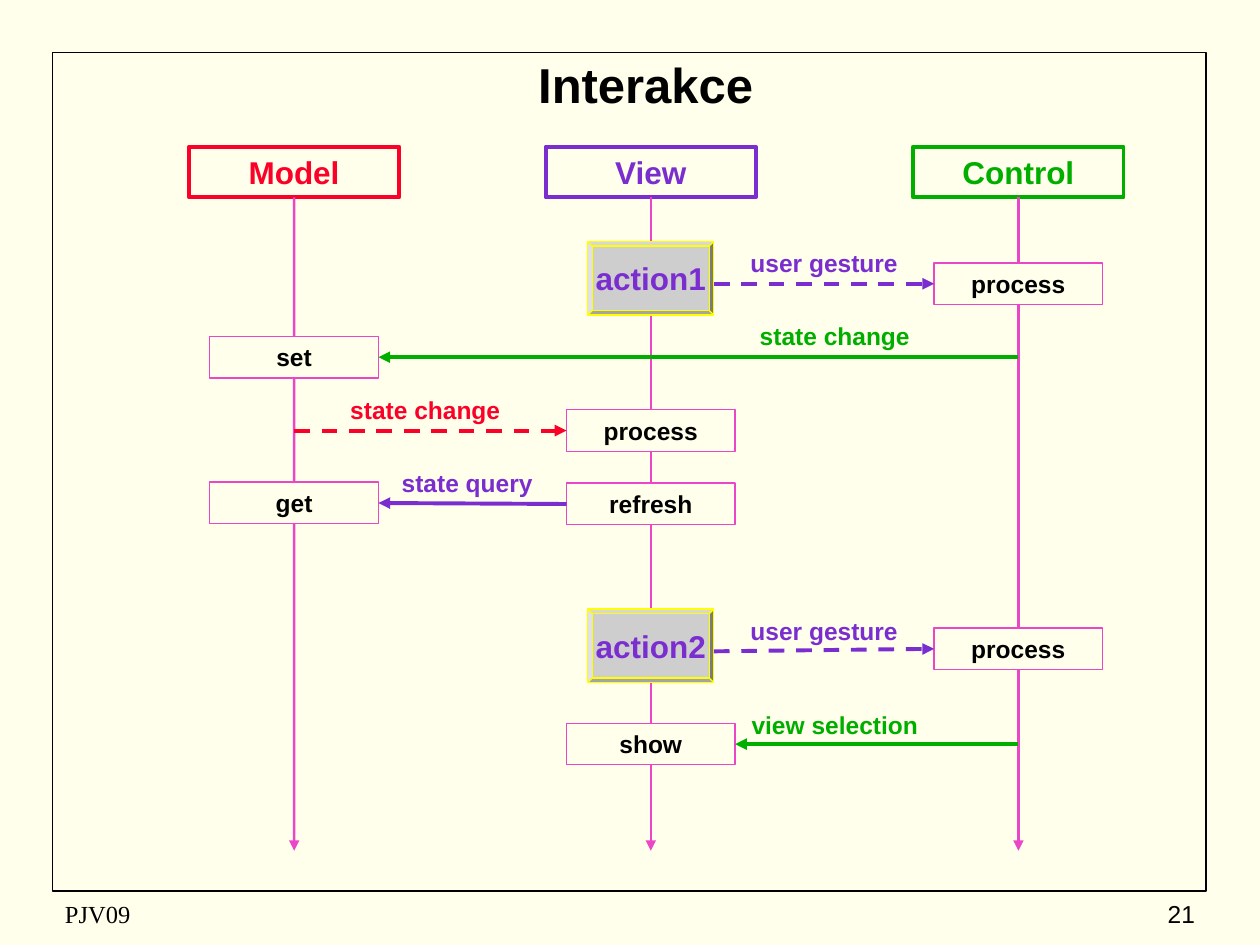
"""Builds the model, view and control interaction diagram on one slide."""
from pptx import Presentation
from pptx.dml.color import RGBColor
from pptx.enum.dml import MSO_LINE
from pptx.enum.shapes import MSO_CONNECTOR, MSO_SHAPE
from pptx.enum.text import MSO_ANCHOR, PP_ALIGN
from pptx.oxml.ns import qn
from pptx.util import Cm, Pt
from lxml.etree import SubElement

COLORS = {
    "paper": "FFFFEB", "ink": "000000", "model": "FC0128", "view": "7B2ED0",
    "control": "00AE00", "lifeline": "EC46C8", "button": "CECECE", "edge": "FFFF00",
}
COLUMNS = {"model": 5.93, "view": 13.12, "control": 20.53}
LEFT, BOTTOM, RIGHT = 1, 2, 3


def write(shape, text, size, color="ink", bold=True, align=PP_ALIGN.CENTER, font="Arial"):
    """Puts one formatted line of text in the middle of a shape."""
    frame = shape.text_frame
    frame.text = text
    frame.word_wrap = True
    frame.vertical_anchor = MSO_ANCHOR.MIDDLE
    para = frame.paragraphs[0]
    para.alignment = align
    span = para.runs[0]
    span.font.name = font
    span.font.size = Pt(size)
    span.font.bold = bold
    span.font.color.rgb = RGBColor.from_string(COLORS[color])


def draw_arrow(page, start, end, color, width, dashed=False):
    """Draws a straight arrow between two points in centimetres."""
    arrow = page.shapes.add_connector(MSO_CONNECTOR.STRAIGHT, *map(Cm, start + end))
    arrow.line.color.rgb = RGBColor.from_string(COLORS[color])
    arrow.line.width = Pt(width)
    if dashed:
        arrow.line.dash_style = MSO_LINE.DASH
    properties = arrow.element.spPr
    SubElement(properties.find(qn("a:ln")), qn("a:tailEnd"), type="triangle")
    SubElement(properties, qn("a:effectLst"))
    return arrow


deck = Presentation()
deck.slide_width, deck.slide_height = Cm(25.4), Cm(19.05)
page = deck.slides.add_slide(deck.slide_layouts[5])
page.background.fill.solid()
page.background.fill.fore_color.rgb = RGBColor.from_string(COLORS["paper"])

border = page.shapes.add_shape(MSO_SHAPE.RECTANGLE, Cm(1.06), Cm(1.06), Cm(23.25), Cm(16.9))
border.shadow.inherit = False
border.fill.background()
border.line.color.rgb = RGBColor.from_string(COLORS["ink"])
border.line.width = Pt(1)

title = page.shapes.title
title.left, title.top, title.width, title.height = Cm(1.69), Cm(0.85), Cm(22.65), Cm(1.69)
write(title, "Interakce", 28)

footers = [
    ("PJV09", 1.06, 8.05, PP_ALIGN.LEFT, "Times New Roman"),
    ("21", 19.05, 5.29, PP_ALIGN.RIGHT, "Arial"),
]
for text, left, width, align, font in footers:
    footer = page.shapes.add_textbox(Cm(left), Cm(17.99), Cm(width), Cm(0.85))
    write(footer, text, 14, bold=False, align=align, font=font)

for role, center in COLUMNS.items():
    header = page.shapes.add_shape(
        MSO_SHAPE.RECTANGLE, Cm(center - 2.12), Cm(2.96), Cm(4.24), Cm(1.02))
    header.shadow.inherit = False
    header.fill.background()
    header.line.color.rgb = RGBColor.from_string(COLORS[role])
    header.line.width = Pt(2.25)
    write(header, role.capitalize(), 18, role)
    lifeline = draw_arrow(page, (center, 3.98), (center, 17.15), "lifeline", 1.5)
    lifeline.begin_connect(header, BOTTOM)

steps = [
    ("gesture 1", "process", "control", 5.72),
    ("set", "set", "model", 7.2),
    ("update", "process", "view", 8.68),
    ("refresh", "refresh", "view", 10.16),
    ("get", "get", "model", 10.14),
    ("gesture 2", "process", "control", 13.08),
    ("show", "show", "view", 15),
]
boxes = {}
for key, text, role, middle in steps:
    box = page.shapes.add_shape(
        MSO_SHAPE.RECTANGLE, Cm(COLUMNS[role] - 1.7), Cm(middle - 0.42), Cm(3.4), Cm(0.84))
    box.shadow.inherit = False
    box.fill.solid()
    box.fill.fore_color.rgb = RGBColor.from_string(COLORS["paper"])
    box.line.color.rgb = RGBColor.from_string(COLORS["lifeline"])
    box.line.width = Pt(0.75)
    write(box, text, 14)
    boxes[key] = box

for text, top in [("action1", 4.87), ("action2", 12.28)]:
    button = page.shapes.add_shape(
        MSO_SHAPE.BEVEL, Cm(COLUMNS["view"] - 1.27), Cm(top), Cm(2.54), Cm(1.48))
    button.adjustments[0] = 0.06
    button.shadow.inherit = False
    button.fill.solid()
    button.fill.fore_color.rgb = RGBColor.from_string(COLORS["button"])
    button.line.color.rgb = RGBColor.from_string(COLORS["edge"])
    button.line.width = Pt(0.75)
    write(button, text, 18, "view")
    button.text_frame.word_wrap = False

messages = [
    ("user gesture", "view", (14.39, 5.72), "gesture 1", LEFT, True, (14.39, 4.88, 4.45)),
    ("state change", "control", (20.53, 7.2), "set", RIGHT, False, (13.97, 6.35, 5.72)),
    ("state change", "model", (5.93, 8.68), "update", LEFT, True, (6.14, 7.83, 4.87)),
    ("state query", "view", (11.42, 10.16), "get", RIGHT, False, (6.56, 9.31, 5.72)),
    ("user gesture", "view", (14.39, 13.13), "gesture 2", LEFT, True, (14.39, 12.28, 4.45)),
    ("view selection", "control", (20.53, 15), "show", RIGHT, False, (13.97, 14.18, 5.72)),
]
for text, color, start, target, side, dashed, (left, top, width) in messages:
    arrow = draw_arrow(page, start, start, color, 2.25, dashed)
    if text == "state query":
        arrow.begin_connect(boxes["refresh"], LEFT)
    arrow.end_connect(boxes[target], side)
    label = page.shapes.add_textbox(Cm(left), Cm(top), Cm(width), Cm(0.85))
    write(label, text, 14, color)

deck.save("out.pptx")
